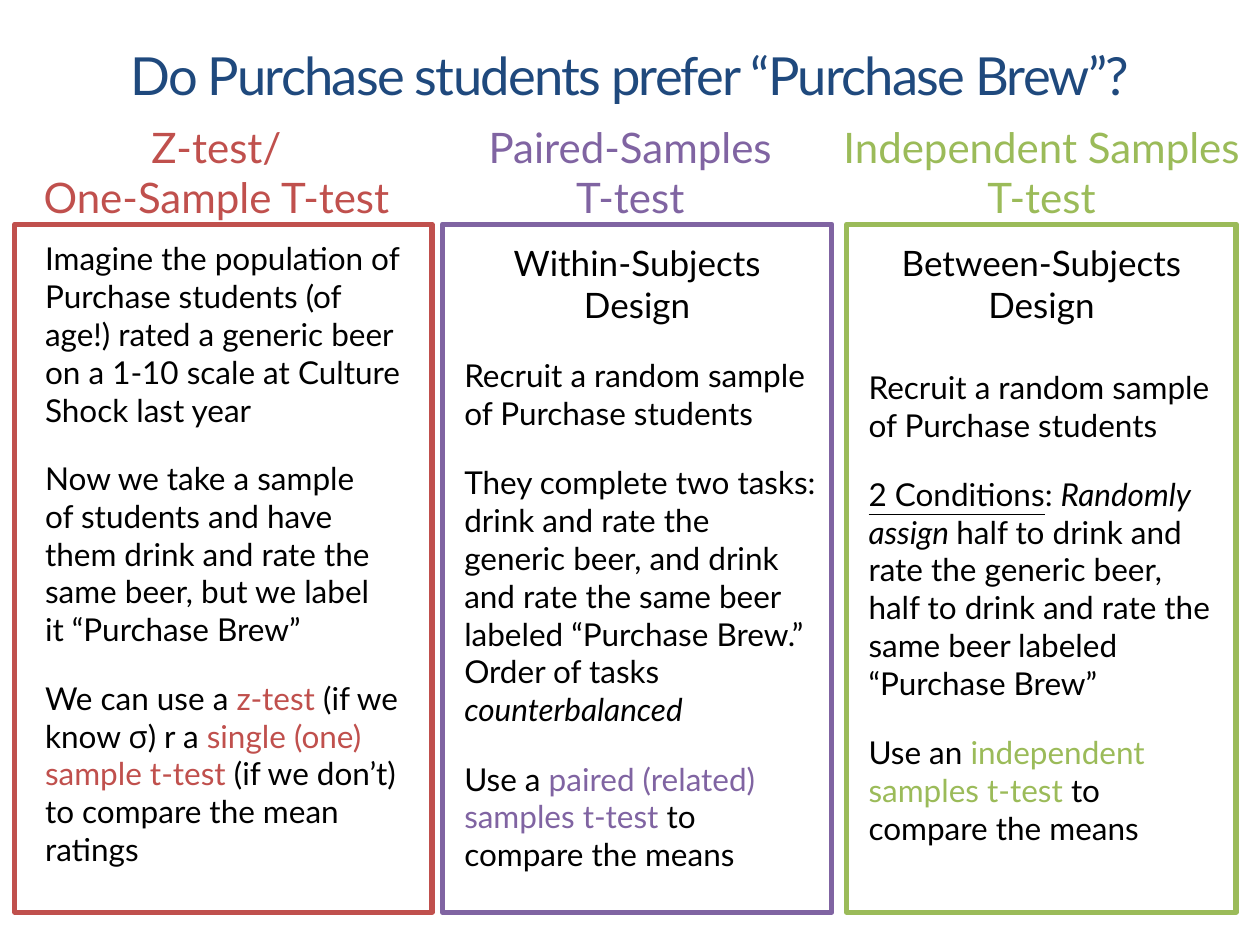
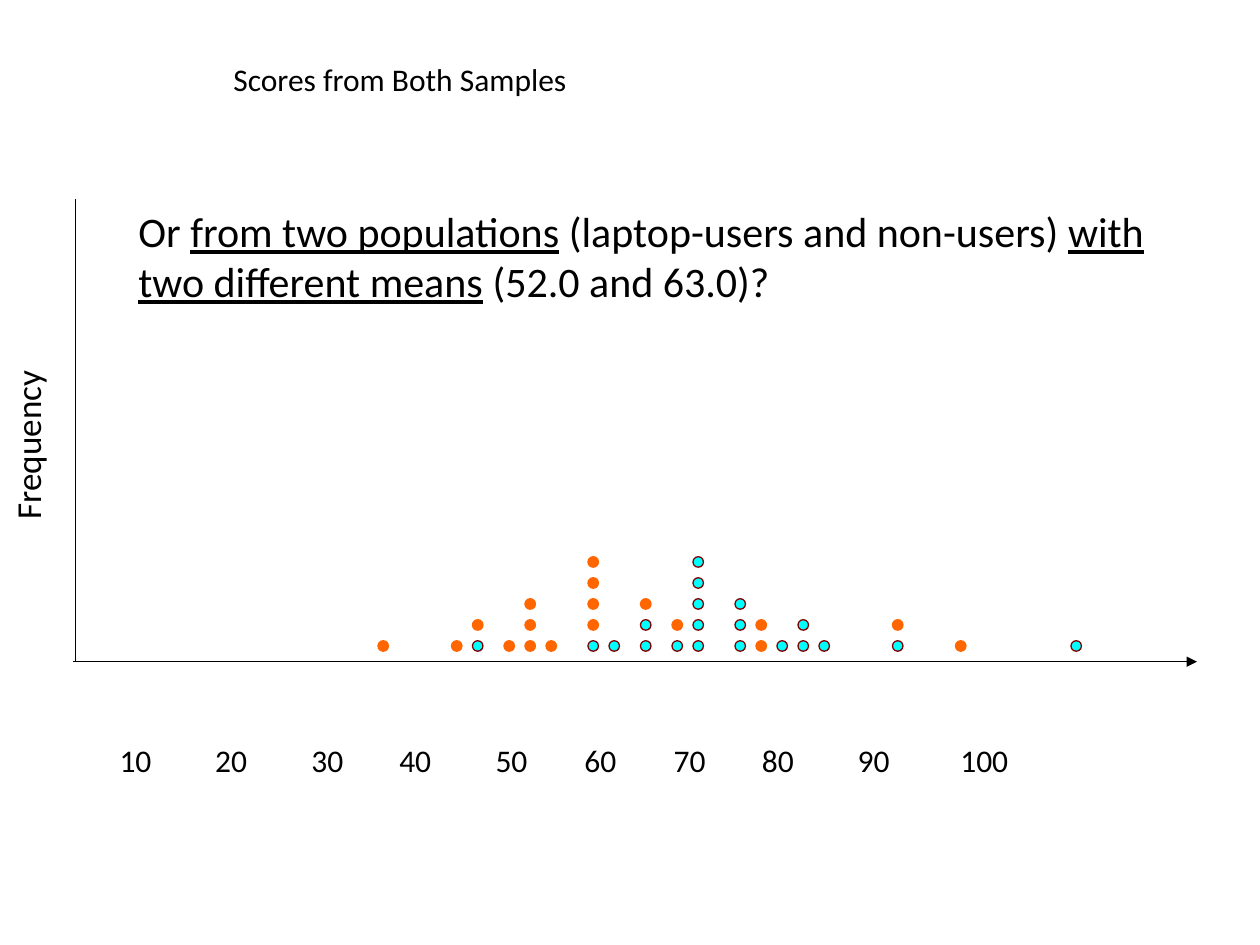
from dataclasses import dataclass

from lxml.etree import SubElement
from pptx import Presentation
from pptx.dml.color import RGBColor as RGB
from pptx.enum.shapes import MSO_CONNECTOR as CONN, MSO_SHAPE as SHAPE
from pptx.enum.text import MSO_ANCHOR as ANCHOR, MSO_AUTO_SIZE as AUTO, PP_ALIGN as ALIGN
from pptx.oxml.ns import qn
from pptx.util import Cm, Pt


@dataclass(frozen=True)
class Theme:
    """Colours, fonts and type sizes of the deck."""
    navy: RGB = RGB(0x1F, 0x49, 0x7D)
    red: RGB = RGB(0xC0, 0x50, 0x4D)
    purple: RGB = RGB(0x80, 0x64, 0xA2)
    green: RGB = RGB(0x9B, 0xBB, 0x59)
    black: RGB = RGB(0, 0, 0)
    cyan: RGB = RGB(0, 0xFF, 0xFF)
    maroon: RGB = RGB(0x80, 0, 0)
    orange: RGB = RGB(0xFF, 0x66, 0)
    design_font: str = "Lato"
    plot_font: str = "Calibri"
    symbol_font: str = "Open Sans"
    title: int = 30
    header: int = 24
    subhead: int = 20
    body: int = 18


T = Theme()
ITALIC, UNDERLINE = {"italic": True}, {"underline": True}

POPULATION_TEXTS = [
    (7.8, ["Imagine the population of Purchase students (of age!) rated a generic beer "
           "on a 1-10 scale at Culture Shock last year"]),
    (7.39, ["Now we take a sample of students and have them drink and rate the same beer, "
            "but we label it “Purchase Brew”"]),
    (7.77, ["We can use a ", ("z-test ", {"color": T.red}), "(if we know ",
            ("σ", {"name": T.symbol_font}), ") r a ",
            ("single (one) sample t-test ", {"color": T.red}),
            "(if we don’t) to compare the mean ratings"]),
]
RECRUIT = ["Recruit a random sample of Purchase students"]
WITHIN_TEXTS = [
    RECRUIT,
    ["They complete two tasks: drink and rate the generic beer, and drink and rate the same "
     "beer labeled “Purchase Brew.” Order of tasks ", ("counterbalanced", ITALIC)],
    ["Use a ", ("paired (related) samples t-test ", {"color": T.purple}),
     "to compare the means"],
]
BETWEEN_TEXTS = [
    RECRUIT,
    [("2 Conditions", UNDERLINE), ": ", ("Randomly assign ", ITALIC),
     "half to drink and rate the generic beer, half to drink and rate the same beer "
     "labeled “Purchase Brew”"],
    ["Use an ", ("independent samples t-test ", {"color": T.green}), "to compare the means"],
]
QUESTION = ["Or ", ("from two populations", UNDERLINE), " (laptop-users and non-users) ",
            ("with two different means", UNDERLINE), " (52.0 and 63.0)?"]

DOT_STEP = 2.54 / 12
DOT_STYLES = {"C": (T.cyan, T.maroon), "O": (T.orange, T.orange)}
DOT_STACKS = {0: "O", 7: "O", 9: "CO", 12: "O", 14: "OOO", 16: "O", 20: "COOOO", 22: "C",
              25: "CCO", 28: "CO", 30: "CCCCC", 34: "CCC", 36: "OO", 38: "C", 40: "CC",
              42: "C", 49: "CO", 55: "O", 66: "C"}
TICK_STOPS = [1.93, 3.87, 5.64, 7.58, 9.37, 11.17, 12.95, 14.88, 16.95]


def style_run(r, size, name, color=T.black, italic=None, underline=None):
    """Format one run."""
    f = r.font
    f.size, f.name, f.italic, f.underline = Pt(size), name, italic, underline
    f.color.rgb = color


def add_text(slide, box, paragraphs, size, name, align=ALIGN.LEFT, after=0, color=T.black):
    """Add a text box whose paragraphs are lists of plain or (text, style) runs."""
    sp = slide.shapes.add_textbox(*map(Cm, box))
    tf = sp.text_frame
    tf.word_wrap = True
    for i, runs in enumerate(paragraphs):
        p = tf.add_paragraph() if i else tf.paragraphs[0]
        p.alignment, p.space_after = align, Pt(after)
        for item in runs:
            text, style = (item, {}) if isinstance(item, str) else item
            r = p.add_run()
            r.text = text
            style_run(r, **{"size": size, "name": name, "color": color, **style})
    return sp


def set_title(slide, box, text, size, name, color, align, anchor):
    """Place, fill and format the title placeholder."""
    sp = slide.shapes.title
    sp.left, sp.top, sp.width, sp.height = map(Cm, box)
    tf = sp.text_frame
    tf.text, tf.auto_size, tf.vertical_anchor = text, AUTO.NONE, anchor
    p = tf.paragraphs[0]
    p.alignment = align
    style_run(p.runs[0], size, name, color)
    return p.runs[0]


def add_frame(slide, box, color):
    """Outline a column."""
    sp = slide.shapes.add_shape(SHAPE.RECTANGLE, *map(Cm, box))
    sp.shadow.inherit = False
    sp.fill.background()
    sp.line.color.rgb, sp.line.width = color, Pt(3)


def add_column(slide, box, header, header_shift, color):
    """Draw a framed column with its coloured two-line header above."""
    x, y, w, h = box
    add_frame(slide, box, color)
    add_text(slide, (x + w / 2 - 4.53 + header_shift, y - 2.2, 9.06, 2.31),
             [[line] for line in header], T.header, T.design_font, ALIGN.CENTER, color=color)


def fill_population(slide, box):
    """Stack the one-sample texts at an equal pitch."""
    x, y, _, _ = box
    for i, (width, runs) in enumerate(POPULATION_TEXTS):
        add_text(slide, (x + 0.36, y + 0.18 + 4.43 * i, width, 4.11), [runs],
                 T.body, T.design_font)


def fill_design(slide, box, kind, drop, paragraphs):
    """Write a design subheading and its steps into a column."""
    x, y, w, h = box
    add_text(slide, (x, y + 0.23, w, 1.96), [[kind], ["Design"]],
             T.subhead, T.design_font, ALIGN.CENTER)
    add_text(slide, (x + 0.19, y + drop, 7.59, h - drop - 0.8), paragraphs,
             T.body, T.design_font, after=18)


def add_axis(slide, x1, y1, x2, y2, arrow=False):
    """Draw an axis line, with an arrowhead at its end if asked."""
    c = slide.shapes.add_connector(CONN.STRAIGHT, *map(Cm, (x1, y1, x2, y2)))
    c.line.color.rgb, c.line.width = T.black, Pt(0.75)
    if arrow:
        SubElement(c.line._get_or_add_ln(), qn("a:tailEnd"), type="triangle")
    SubElement(c._element.spPr, qn("a:effectLst"))


def add_dots(slide, x, base):
    """Stack the score dots upwards from the base line."""
    for column, stack in DOT_STACKS.items():
        for row, key in enumerate(stack):
            fill, line = DOT_STYLES[key]
            sp = slide.shapes.add_shape(
                SHAPE.OVAL, Cm(x + column * DOT_STEP), Cm(base - 2 * DOT_STEP * (row + 1)),
                Cm(DOT_STEP), Cm(DOT_STEP))
            sp.shadow.inherit = False
            sp.fill.solid()
            sp.fill.fore_color.rgb = fill
            sp.line.color.rgb, sp.line.width = line, Pt(0.75)


def add_tick_labels(slide, box):
    """Write the scale on one line with tab stops."""
    labels = "\t".join(str(n) for n in range(10, 101, 10))
    sp = add_text(slide, box, [[labels]], T.body, T.plot_font)
    tabs = SubElement(sp.text_frame.paragraphs[0]._p.get_or_add_pPr(), qn("a:tabLst"))
    for stop in TICK_STOPS:
        SubElement(tabs, qn("a:tab"), pos=str(Cm(stop)), algn="l")


def add_dot_plot(slide, box):
    """Draw axes, labels and dots of the plot."""
    x, y, w, h = box
    base = y + h
    add_axis(slide, x - 0.05, base, x + w, base, arrow=True)
    add_axis(slide, x, y, x, base)
    add_dots(slide, x + 6.1, base)
    add_tick_labels(slide, (x + 0.64, base + 1.47, 23.2, 1.02))
    sp = add_text(slide, (x - 3.73, y + 3.4, 5.51, 1.09), [["Frequency"]],
                  T.subhead, T.plot_font)
    sp.rotation = 270


def build_designs(slide):
    """Compare the three test designs in columns."""
    r = set_title(slide, (0, 0.13, 25.4, 2.74), "Do Purchase students prefer “Purchase Brew”?",
                  T.title, T.design_font, T.navy, ALIGN.CENTER, ANCHOR.MIDDLE)
    r._r.get_or_add_rPr().set("spc", "-100")
    top, height = 4.52, 13.87
    population = (0.3, top, 8.41, height)
    within, between = ((x, top, 7.85, height) for x in (8.92, 17.07))
    add_column(slide, population, ("Z-test/", "One-Sample T-test"), -0.14, T.red)
    add_column(slide, within, ("Paired-Samples", "T-test"), -0.14, T.purple)
    add_column(slide, between, ("Independent Samples", "T-test"), 0, T.green)
    fill_population(slide, population)
    fill_design(slide, within, "Within-Subjects", 2.54, WITHIN_TEXTS)
    fill_design(slide, between, "Between-Subjects", 2.77, BETWEEN_TEXTS)


def build_scores(slide):
    """Show the scores of both samples as a dot plot."""
    set_title(slide, (4.45, 1.09, 18.21, 1.45), "Scores from Both Samples",
              T.body, T.plot_font, T.black, ALIGN.LEFT, ANCHOR.TOP)
    add_dot_plot(slide, (1.52, 4.02, 22.61, 9.32))
    add_text(slide, (2.54, 4.02, 21.59, 3.5), [QUESTION], T.header, T.plot_font)


def main():
    """Build and save the deck."""
    prs = Presentation()
    prs.slide_width, prs.slide_height = Cm(25.4), Cm(19.05)
    for build in (build_designs, build_scores):
        build(prs.slides.add_slide(prs.slide_layouts[5]))
    prs.save("out.pptx")


if __name__ == "__main__":
    main()
